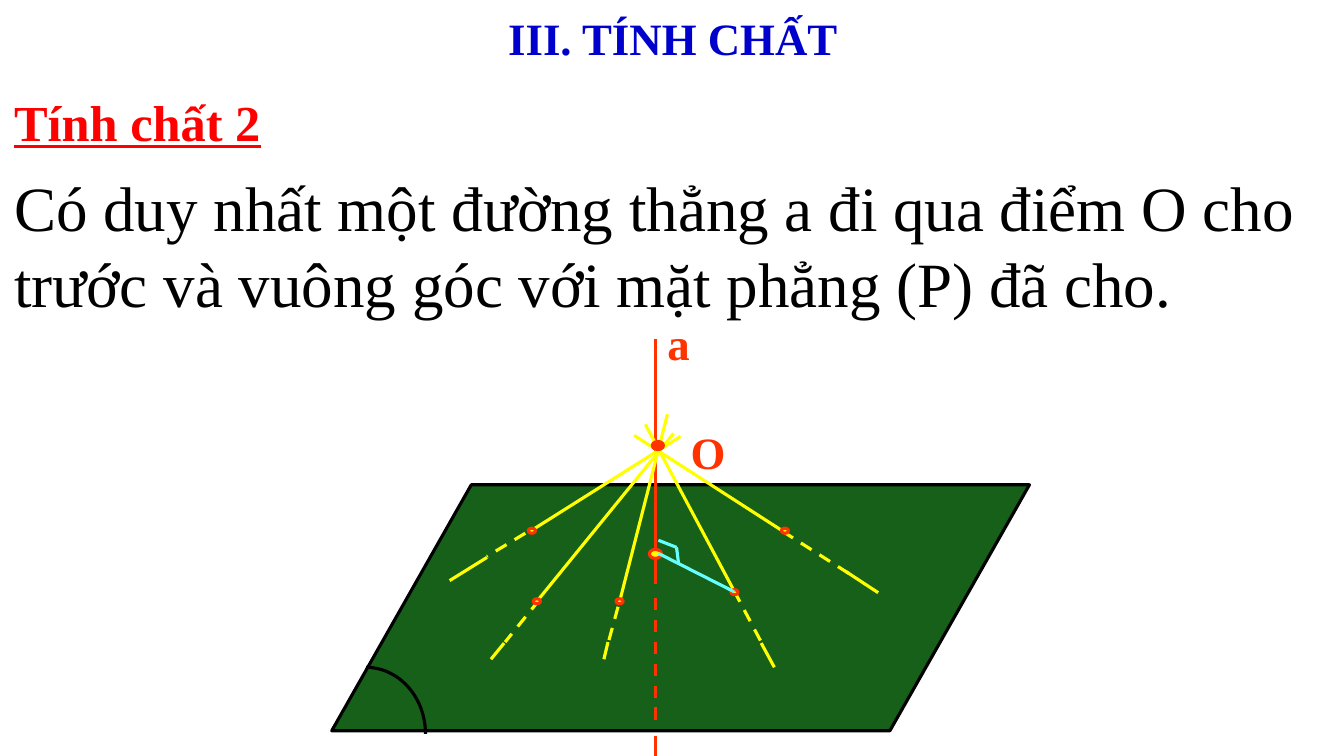
import pptx
import pptx.util
import pptx.dml.color
import pptx.enum.dml
import pptx.enum.shapes
import pptx.enum.text
import pptx.oxml.ns
import lxml.etree

Inches = pptx.util.Inches
Pt = pptx.util.Pt
RGB = pptx.dml.color.RGBColor.from_string
SHAPE = pptx.enum.shapes.MSO_SHAPE
ALIGN = pptx.enum.text.PP_ALIGN

theme = {
    "font": "Times New Roman",
    "title": RGB("0000CC"),
    "heading": RGB("FF0000"),
    "ink": RGB("000000"),
    "plane": RGB("16601A"),
    "axis": RGB("FF3300"),
    "ray": RGB("FFFF00"),
    "right_angle": RGB("66FFFF"),
    "title_size": Pt(32),
    "heading_size": Pt(36),
    "body_size": Pt(45),
    "stroke": Pt(2.25),
}

deck = pptx.Presentation()
deck.slide_width = Inches(13.33)
deck.slide_height = Inches(7.5)
slide = deck.slides.add_slide(deck.slide_layouts[6])


def add_outlined(kind, left, top, width, height, fill, outline):
    figure = slide.shapes.add_shape(
        kind, Inches(left), Inches(top), Inches(width), Inches(height))
    figure.shadow.inherit = False
    if fill:
        figure.fill.solid()
        figure.fill.fore_color.rgb = theme[fill]
    else:
        figure.fill.background()
    figure.line.color.rgb = theme[outline]
    figure.line.width = theme["stroke"]


def add_segment(start, end, color, dashed=False):
    segment = slide.shapes.add_connector(
        pptx.enum.shapes.MSO_CONNECTOR.STRAIGHT,
        *[Inches(value) for value in (*start, *end)])
    segment.line.color.rgb = theme[color]
    segment.line.width = theme["stroke"]
    if dashed:
        segment.line.dash_style = pptx.enum.dml.MSO_LINE.DASH
    lxml.etree.SubElement(
        segment._element.spPr, pptx.oxml.ns.qn("a:effectLst"))


add_outlined(SHAPE.FLOWCHART_DATA, 3.29, 4.81, 6.92, 2.44, "plane", "ink")
add_outlined(SHAPE.ARC, 3.04, 6.62, 1.18, 1.32, None, "ink")

add_segment((6.5, 5.93), (6.5, 7.18), "axis", dashed=True)
add_segment((6.5, 7.3), (6.5, 7.5), "axis")
add_segment((6.5, 3.36), (6.5, 5.79), "axis")
add_outlined(SHAPE.OVAL, 6.44, 5.45, 0.12, 0.09, "ray", "axis")

rays = [
    [(6.62, 4.11), (6.15, 5.95), (6.13, 6.02), (6.04, 6.35), (6.03, 6.37), (5.99, 6.54)],
    [(6.29, 4.32), (7.75, 5.26), (7.76, 5.27), (8.42, 5.69), (8.39, 5.67), (8.71, 5.88)],
    [(6.75, 4.33), (5.26, 5.27), (5.21, 5.29), (4.83, 5.52), (4.83, 5.53), (4.46, 5.76)],
    [(6.68, 4.3), (5.33, 5.96), (5.35, 5.95), (5.01, 6.37), (5, 6.38), (4.87, 6.54)],
    [(6.4, 4.21), (7.28, 5.86), (7.28, 5.86), (7.55, 6.37), (7.55, 6.38), (7.68, 6.62)],
]
for ray in rays:
    for start, end, dashed in zip(ray[::2], ray[1::2], (False, True, False)):
        add_segment(start, end, "ray", dashed)

add_outlined(SHAPE.OVAL, 6.47, 4.38, 0.11, 0.08, "axis", "axis")
for left, top in [(7.75, 5.24), (7.25, 5.85), (6.11, 5.94), (5.29, 5.94), (5.24, 5.24)]:
    add_outlined(SHAPE.OVAL, left, top, 0.07, 0.05, "ray", "axis")

right_angle = [
    ((6.53, 5.49), (7.28, 5.87)),
    ((6.53, 5.36), (6.71, 5.43)),
    ((6.71, 5.43), (6.73, 5.59)),
]
for start, end in right_angle:
    add_segment(start, end, "right_angle")

statement = ("Có duy nhất một đường thẳng a đi qua điểm O cho "
             "trước và vuông góc với mặt phẳng (P) đã cho.")
texts = [
    ("III. TÍNH CHẤT", (0.01, 0.04, 13.33, 0.67), "title_size", "title", True, False, ALIGN.CENTER),
    ("Tính chất 2", (0.01, 0.83, 2.73, 0.74), "heading_size", "heading", True, True, ALIGN.LEFT),
    (statement, (0.01, 1.6, 13.33, 1.65), "body_size", "ink", False, False, ALIGN.LEFT),
    ("O", (6.72, 4.14, 0.56, 0.67), "title_size", "axis", True, False, ALIGN.LEFT),
    ("a", (6.49, 3.06, 0.56, 0.67), "title_size", "axis", True, False, ALIGN.LEFT),
]
for wording, place, size, color, bold, underline, alignment in texts:
    frame = slide.shapes.add_textbox(*[Inches(value) for value in place]).text_frame
    frame.word_wrap = True
    frame.margin_left = frame.margin_right = Inches(0.13)
    frame.margin_top = frame.margin_bottom = Inches(0.07)
    paragraph = frame.paragraphs[0]
    paragraph.alignment = alignment
    run = paragraph.add_run()
    run.text = wording
    run.font.name = theme["font"]
    run.font.size = theme[size]
    run.font.color.rgb = theme[color]
    run.font.bold = bold
    run.font.underline = underline

deck.save("out.pptx")
